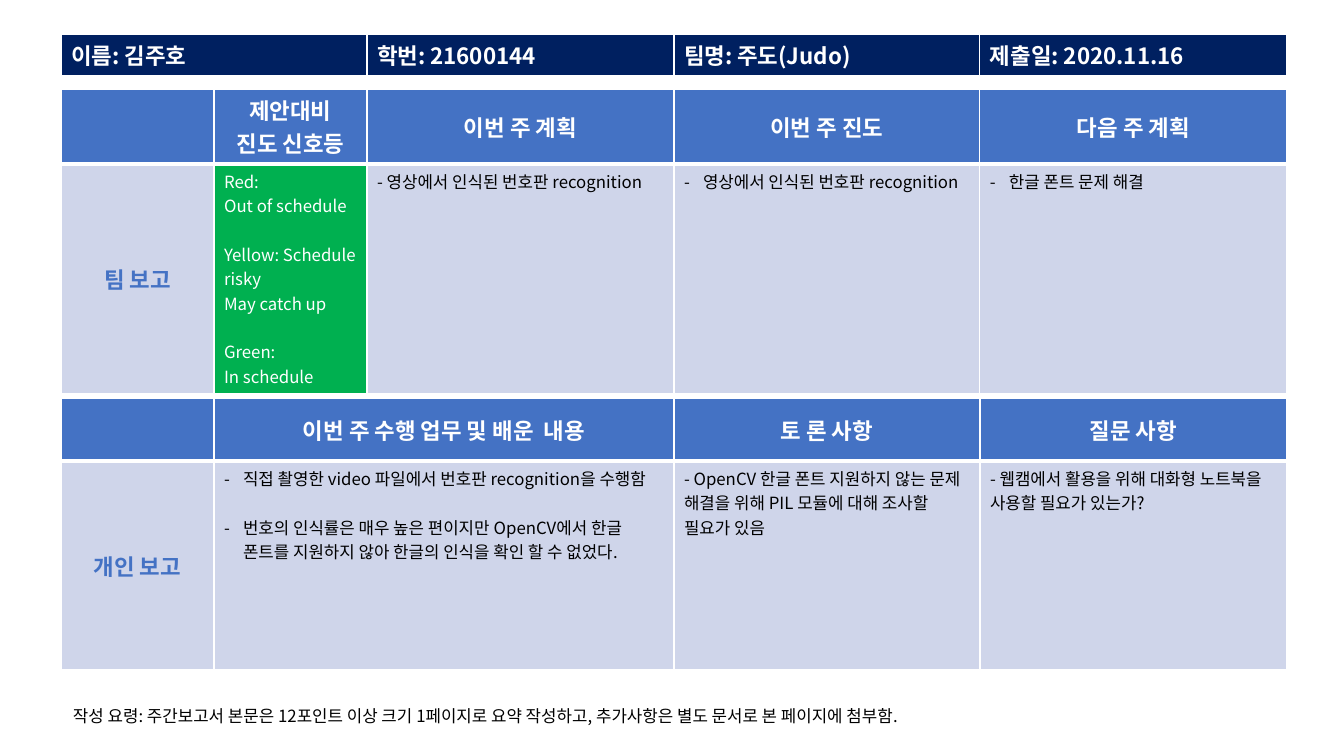
from dataclasses import dataclass
from itertools import accumulate

from lxml.etree import SubElement
from pptx import Presentation
from pptx.dml.color import RGBColor
from pptx.enum.text import MSO_ANCHOR as Anchor, PP_ALIGN as Align
from pptx.oxml.ns import qn
from pptx.util import Emu, Pt

FONT = "Noto Sans CJK KR"
NAVY = RGBColor(0x00, 0x20, 0x60)
BLUE = RGBColor(0x44, 0x72, 0xC4)
PALE = RGBColor(0xCF, 0xD5, 0xEA)
GREEN = RGBColor(0x00, 0xB0, 0x50)
WHITE = RGBColor(0xFF, 0xFF, 0xFF)
BLACK = RGBColor(0x00, 0x00, 0x00)

SCALE = 914400 / 100.8
LINE_GAP = Pt(17.5)
INDENT = 19


def px(length):
    return Emu(round(length * SCALE))


@dataclass
class Style:
    fill: RGBColor
    color: RGBColor
    size: int = 16
    bold: bool = True
    centered: bool = False
    bottom: int = 1


INFO = Style(NAVY, WHITE, bottom=3)
HEADER = Style(BLUE, WHITE, centered=True, bottom=3)
LABEL = Style(PALE, BLUE, centered=True)
BODY = Style(PALE, BLACK, size=12, bold=False)
SIGNAL = Style(GREEN, WHITE, size=12, bold=False)


@dataclass
class Entry:
    lines: tuple
    style: Style
    bullet: bool = False
    gaps: tuple = ()  # lines that start after an empty line's height


def format_font(para, size, color, bold):
    for span in para.runs:
        font = span.font
        font.name, font.size, font.bold = FONT, Pt(size), bold
        font.color.rgb = color
        SubElement(span.font._element, qn("a:ea"), typeface=FONT)


def add_bullet(para):
    props = para._p.get_or_add_pPr()
    props.set("marL", str(px(INDENT)))
    props.set("indent", str(-px(INDENT)))
    SubElement(props, qn("a:buFont"), typeface=FONT)
    SubElement(props, qn("a:buChar"), char="-")


def add_borders(cell, bottom):
    props = cell._tc.get_or_add_tcPr()
    for side, width in (("L", 1), ("R", 1), ("T", 1), ("B", bottom)):
        line = SubElement(props, qn("a:ln" + side), w=str(Pt(width)))
        paint = SubElement(line, qn("a:solidFill"))
        SubElement(paint, qn("a:srgbClr"), val=str(WHITE))


def fill_cell(cell, entry):
    style = entry.style
    add_borders(cell, style.bottom)
    cell.fill.solid()
    cell.fill.fore_color.rgb = style.fill
    if style.centered:
        cell.vertical_anchor = Anchor.MIDDLE
    cell.text_frame.text = "\n".join(entry.lines)
    for index, para in enumerate(cell.text_frame.paragraphs):
        if style.centered:
            para.alignment = Align.CENTER
        if index in entry.gaps:
            para.space_before = LINE_GAP
        if entry.bullet:
            add_bullet(para)
        format_font(para, style.size, style.color, style.bold)


def add_grid(page, box, widths, heights, rows):
    left, top = box
    frame = page.shapes.add_table(len(heights), len(widths), px(left), px(top),
                                  px(sum(widths)), px(sum(heights)))
    grid = frame.table
    grid.first_row = grid.horz_banding = False
    edges = [0, *accumulate(widths)]
    for column, start, end in zip(grid.columns, edges, edges[1:]):
        column.width = px(end) - px(start)
    for row, height in zip(grid.rows, heights):
        row.height = px(height)
    for row, entries in zip(grid.rows, rows):
        for cell, entry in zip(row.cells, entries):
            fill_cell(cell, entry)


def headers(*titles):
    return [Entry(tuple(title.split("\n")), HEADER) for title in titles]


def add_info(page, box):
    texts = ("이름: 김주호", "학번: 21600144", "팀명: 주도(Judo)", "제출일: 2020.11.16")
    add_grid(page, box, (306, 307, 306, 307), (41,),
             [[Entry((text,), INFO) for text in texts]])


def add_team_report(page, box):
    progress = "영상에서 인식된 번호판 recognition"
    signal = ("Red:", "Out of schedule", "Yellow: Schedule risky",
              "May catch up", "Green:", "In schedule")
    add_grid(page, box, (153, 153, 307, 306, 307), (74, 230), [
        headers("", "제안대비\n진도 신호등", "이번 주 계획", "이번 주 진도", "다음 주 계획"),
        [Entry(("팀 보고",), LABEL),
         Entry(signal, SIGNAL, gaps=(2, 4)),
         Entry(("- " + progress,), BODY),
         Entry((progress,), BODY, bullet=True),
         Entry(("한글 폰트 문제 해결",), BODY, bullet=True)],
    ])


def add_personal_report(page, box):
    work = ("직접 촬영한 video 파일에서 번호판 recognition을 수행함",
            "번호의 인식률은 매우 높은 편이지만 OpenCV에서 한글 폰트를 지원하지 않아 "
            "한글의 인식을 확인 할 수 없었다.")
    discussion = "- OpenCV 한글 폰트 지원하지 않는 문제 해결을 위해 PIL 모듈에 대해 조사할 필요가 있음"
    question = "- 웹캠에서 활용을 위해 대화형 노트북을 사용할 필요가 있는가?"
    add_grid(page, box, (153, 460, 306, 307), (63, 209), [
        headers("", "이번 주 수행 업무 및 배운  내용", "토 론 사항", "질문 사항"),
        [Entry(("개인 보고",), LABEL),
         Entry(work, BODY, bullet=True, gaps=(1,)),
         Entry((discussion,), BODY),
         Entry((question,), BODY)],
    ])


def add_guideline(page, box):
    note = page.shapes.add_textbox(*map(px, box))
    note.text_frame.word_wrap = False
    note.text_frame.text = ("작성 요령: 주간보고서 본문은 12포인트 이상 크기 1페이지로 요약 작성하고, "
                            "추가사항은 별도 문서로 본 페이지에 첨부함.")
    format_font(note.text_frame.paragraphs[0], 12, BLACK, False)


deck = Presentation()
deck.slide_width, deck.slide_height = px(1344), px(756)
page = deck.slides.add_slide(deck.slide_layouts[6])
add_info(page, (61, 34))
add_team_report(page, (61, 89))
add_personal_report(page, (61, 398))
add_guideline(page, (63, 701, 919, 30))
deck.save("out.pptx")
